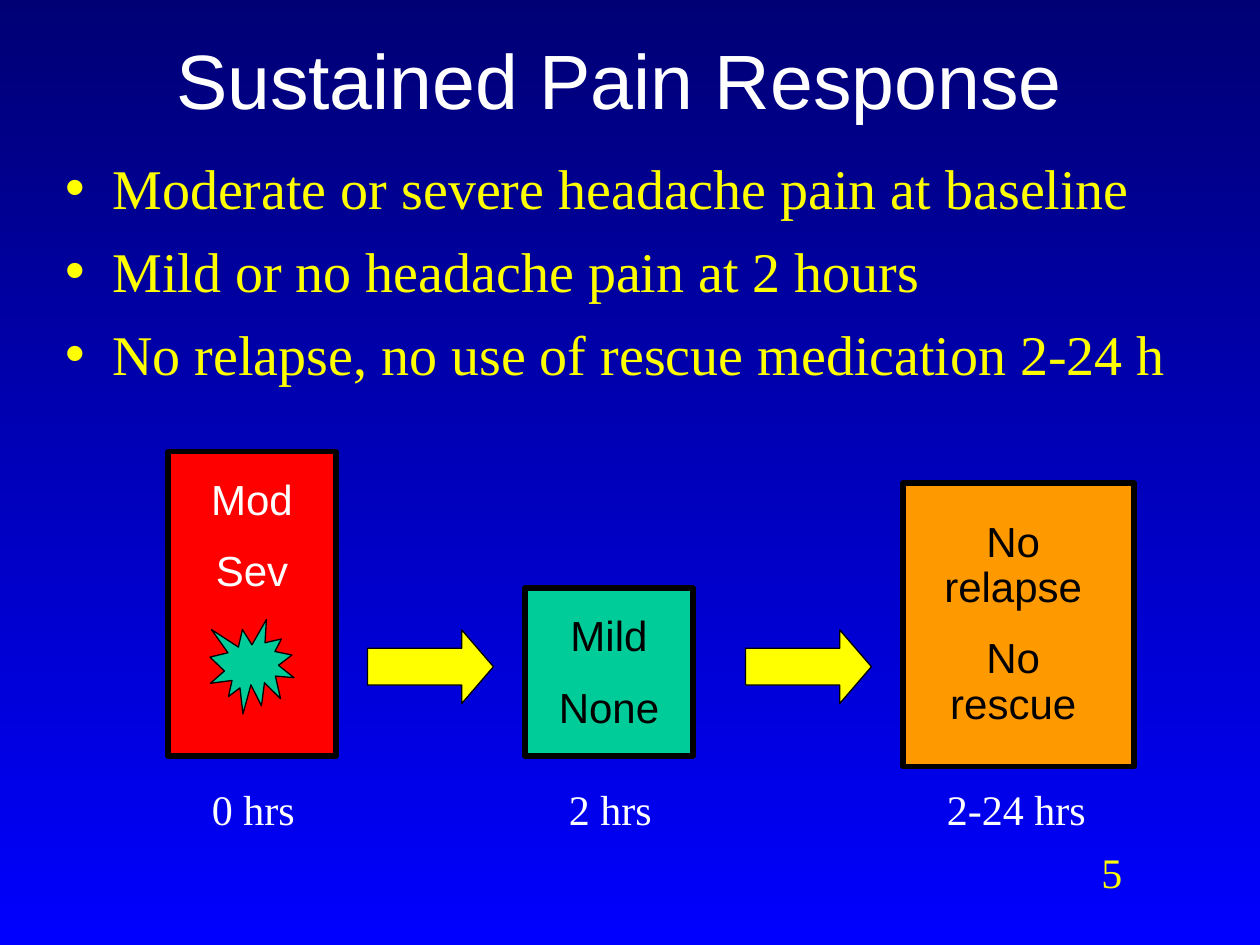
from dataclasses import dataclass

from lxml.etree import SubElement
from pptx import Presentation
from pptx.dml.color import RGBColor
from pptx.enum.shapes import MSO_SHAPE
from pptx.enum.text import MSO_ANCHOR, MSO_AUTO_SIZE, PP_ALIGN
from pptx.oxml.ns import qn
from pptx.util import Emu, Inches, Pt

PIXEL = Inches(1) // 120


def px(value):
    return Emu(value * PIXEL)


def apply(target, formats):
    for name, value in formats.items():
        setattr(target, name, value)


@dataclass(frozen=True)
class Theme:
    white: str = "FFFFFF"
    black: str = "000000"
    yellow: str = "FFFF00"
    red: str = "FF0000"
    green: str = "00CC99"
    orange: str = "FF9900"
    sky_top: str = "000075"
    sky_bottom: str = "0000FF"
    sans: str = "Arial"
    serif: str = "Times New Roman"
    title_size: int = 44
    body_size: int = 32
    label_size: int = 24
    thin: float = 0.75
    thick: float = 3


class SlideBuilder:
    def __init__(self, page, theme):
        self.page = page
        self.theme = theme
        self.shapes = page.shapes

    def background(self):
        fill = self.page.background.fill
        fill.gradient()
        fill.gradient_angle = 270
        colours = (self.theme.sky_top, self.theme.sky_bottom)
        for stop, colour, position in zip(fill.gradient_stops, colours, (0, 1)):
            stop.color.rgb = RGBColor.from_string(colour)
            stop.position = position

    def place(self, box, area):
        apply(box, dict(zip(("left", "top", "width", "height"), map(px, area))))

    def set_text(self, box, lines, font, size, colour, align=PP_ALIGN.LEFT,
                 gap=0, spacing=None, anchor=MSO_ANCHOR.TOP,
                 fit=MSO_AUTO_SIZE.NONE, bullet=False):
        frame = box.text_frame
        apply(frame, {
            "word_wrap": True, "auto_size": fit, "vertical_anchor": anchor,
            "margin_left": px(12), "margin_right": px(12),
            "margin_top": px(6), "margin_bottom": px(6),
        })
        for index, line in enumerate(lines):
            para = frame.add_paragraph() if index else frame.paragraphs[0]
            if bullet:
                self.bullet(para, colour)
            apply(para, {
                "alignment": align, "line_spacing": spacing,
                "space_before": Pt(gap if index else 0),
            })
            span = para.add_run()
            span.text = line
            apply(span.font, {"name": font, "size": Pt(size)})
            span.font.color.rgb = RGBColor.from_string(colour)

    def bullet(self, para, colour):
        properties = para._p.get_or_add_pPr()
        properties.set("marL", str(px(45)))
        properties.set("indent", str(px(-45)))
        tint = SubElement(properties, qn("a:buClr"))
        SubElement(tint, qn("a:srgbClr")).set("val", colour)
        SubElement(properties, qn("a:buChar")).set("char", "•")

    def title(self, text, area):
        box = self.page.shapes.title
        self.place(box, area)
        self.set_text(box, [text], self.theme.sans, self.theme.title_size,
                      self.theme.white, PP_ALIGN.CENTER, anchor=MSO_ANCHOR.MIDDLE)

    def bullets(self, lines, area):
        box = self.page.placeholders[1]
        self.place(box, area)
        self.set_text(box, lines, self.theme.serif, self.theme.body_size,
                      self.theme.yellow, gap=9, bullet=True)

    def shape(self, kind, area, fill, line=None):
        box = self.shapes.add_shape(kind, *map(px, area))
        box.shadow.inherit = False
        box.fill.solid()
        box.fill.fore_color.rgb = RGBColor.from_string(fill)
        if line is None:
            box.line.fill.background()
        else:
            box.line.color.rgb = RGBColor.from_string(self.theme.black)
            box.line.width = Pt(line)
        return box

    def arrow(self, left):
        box = self.shape(MSO_SHAPE.RIGHT_ARROW, (left, 600, 120, 70),
                         self.theme.yellow, self.theme.thin)
        box.adjustments[0] = 0.5
        box.adjustments[1] = 0.43

    def label(self, text, area, colour):
        box = self.shapes.add_textbox(*map(px, area))
        self.set_text(box, [text], self.theme.serif, self.theme.label_size, colour,
                      fit=MSO_AUTO_SIZE.SHAPE_TO_FIT_TEXT)

    def stage(self, card, inner, fill, colour, lines, time, time_width, burst=None):
        self.shapes = self.page.shapes.add_group_shape().shapes
        self.shape(MSO_SHAPE.RECTANGLE, card, fill, self.theme.thick)
        self.label(time, (card[0] + 30, 740, time_width, 60), self.theme.white)
        if burst:
            self.shape(MSO_SHAPE.EXPLOSION1, burst, self.theme.green, self.theme.thin)
        box = self.shape(MSO_SHAPE.RECTANGLE, inner, fill)
        self.set_text(box, lines, self.theme.sans, self.theme.label_size, colour,
                      PP_ALIGN.CENTER, gap=15, spacing=0.9,
                      fit=MSO_AUTO_SIZE.SHAPE_TO_FIT_TEXT)
        self.shapes = self.page.shapes


def main():
    theme = Theme()
    deck = Presentation()
    apply(deck, {"slide_width": px(1200), "slide_height": px(900)})
    builder = SlideBuilder(deck.slides.add_slide(deck.slide_layouts[1]), theme)
    builder.background()
    builder.title("Sustained Pain Response", (80, 0, 1020, 150))
    builder.bullets([
        "Moderate or severe headache pain at baseline",
        "Mild or no headache pain at 2 hours",
        "No relapse, no use of rescue medication 2-24 h",
    ], (50, 140, 1080, 290))

    builder.stage((160, 430, 160, 290), (180, 450, 120, 124), theme.red, theme.white,
                  ["Mod", "Sev"], "0 hrs", 110, burst=(200, 590, 80, 90))
    builder.stage((500, 560, 160, 160), (520, 580, 120, 124), theme.green, theme.black,
                  ["Mild", "None"], "2 hrs", 110)
    builder.stage((860, 460, 220, 270), (870, 490, 190, 210), theme.orange, theme.black,
                  ["No relapse", "No rescue"], "2-24 hrs", 160)
    for left in (350, 710):
        builder.arrow(left)
    builder.label("5", (1037, 800, 160, 60), theme.yellow)
    deck.save("out.pptx")


if __name__ == "__main__":
    main()
